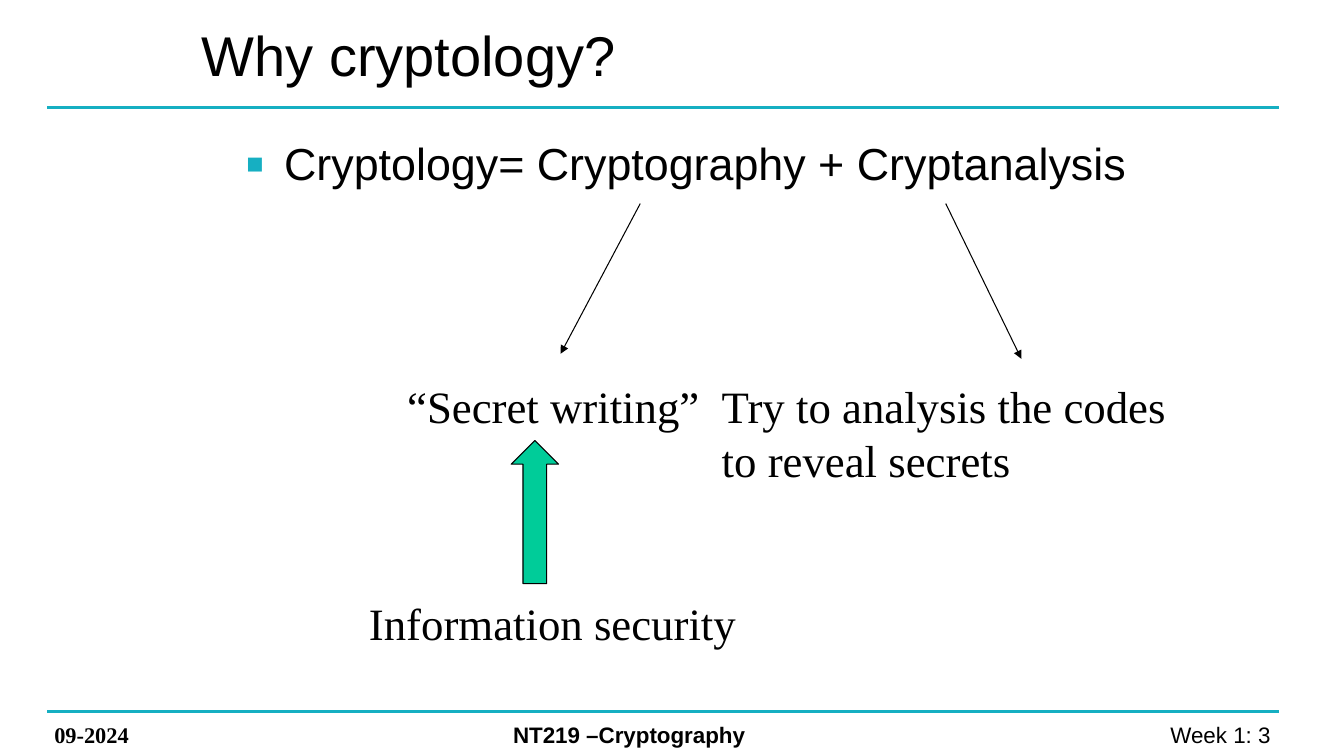
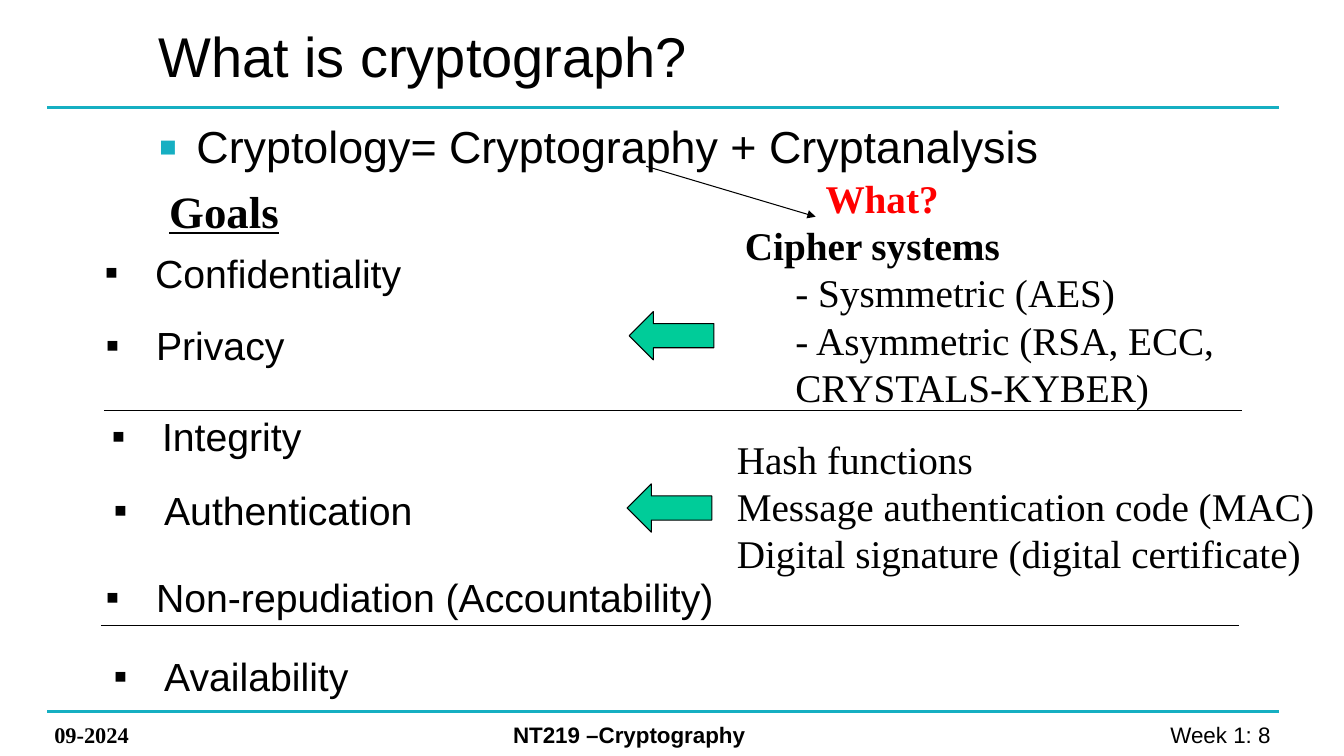
from typing import NamedTuple, Optional

from lxml import etree
from pptx import Presentation
from pptx import util as u
from pptx.dml import color
from pptx.enum import shapes, text
from pptx.oxml import ns

SANS, SERIF = "Arial", "Times New Roman"
BLACK, TEAL, GREEN, RED = "000000", "16AFC2", "00CC99", "FF0000"
TITLE_ONLY = 5
RULE_LEFT, RULE_RIGHT = 0.47, 12.69
RULE_TOPS = (1.07, 7.06)
EQUATION = "Cryptology= Cryptography + Cryptanalysis"


class Box(NamedTuple):
    left: float
    top: float
    width: float
    height: float


class Bullet(NamedTuple):
    indent: float
    percent: int = 100
    colour: str = BLACK


class Label(NamedTuple):
    text: str
    box: Box


class Line(NamedTuple):
    start: tuple[float, float]
    end: tuple[float, float]


EQUATION_BULLET = Bullet(0.38, 125, TEAL)
GOAL_BULLET = Bullet(0.5)

MEANINGS = (
    Label("“Secret writing”", Box(3.94, 3.71, 3.12, 1.18)),
    Label("Try to analysis the codes\nto reveal secrets", Box(7.06, 3.71, 4.65, 1.18)),
    Label("Information security", Box(3.56, 5.86, 3.88, 1.18)),
)
MEANING_ARROWS = (
    Line((6.35, 2.02), (5.56, 3.51)),
    Line((9.38, 2.02), (10.13, 3.56)),
)
GOALS = (
    Label("Confidentiality", Box(0.94, 2.42, 3.18, 0.57)),
    Label("Privacy", Box(0.95, 3.14, 2.1, 0.57)),
    Label("Integrity", Box(1.01, 4.04, 2.2, 0.57)),
    Label("Authentication", Box(1.03, 4.78, 3.3, 0.57)),
    Label("Non-repudiation (Accountability)", Box(0.95, 5.64, 6.33, 0.57)),
    Label("Availability", Box(1.03, 6.42, 2.66, 0.57)),
)
GOAL_DIVIDERS = (
    Line((1.03, 4.07), (12.32, 4.07)),
    Line((1, 6.21), (12.29, 6.21)),
)
GOAL_ARROWS = (Box(6.24, 3.09, 0.84, 0.48), Box(6.22, 4.8, 0.84, 0.48))


def rgb(value: str) -> color.RGBColor:
    return color.RGBColor.from_string(value)


def inches(values) -> list[u.Length]:
    return [u.Inches(value) for value in values]


def add_bullet(paragraph, bullet: Bullet) -> None:
    """Give the paragraph a square bullet with a hanging indent."""
    properties = paragraph._p.get_or_add_pPr()
    properties.set("marL", str(u.Inches(bullet.indent)))
    properties.set("indent", str(-u.Inches(bullet.indent)))
    colour = etree.SubElement(properties, ns.qn("a:buClr"))
    etree.SubElement(colour, ns.qn("a:srgbClr"), val=bullet.colour)
    etree.SubElement(properties, ns.qn("a:buSzPct"), val=str(bullet.percent * 1000))
    etree.SubElement(properties, ns.qn("a:buFont"), typeface=SANS)
    etree.SubElement(properties, ns.qn("a:buChar"), char="▪")


def write(
    frame,
    content: str,
    *,
    size: float,
    font: str = SERIF,
    colour: str = BLACK,
    bold: bool = False,
    underline: bool = False,
    align: text.PP_ALIGN = text.PP_ALIGN.LEFT,
    indent: float = 0,
    before: float = 0,
    bullet: Optional[Bullet] = None,
) -> None:
    """Append one paragraph for each line of the content."""
    for line in content.split("\n"):
        paragraph = frame.paragraphs[-1]
        if paragraph.runs:
            paragraph = frame.add_paragraph()
        paragraph.alignment = align
        paragraph.space_before = u.Pt(before)
        if indent:
            paragraph._p.get_or_add_pPr().set("marL", str(u.Inches(indent)))
        if bullet:
            add_bullet(paragraph, bullet)
        run = paragraph.add_run()
        run.text = line
        run.font.name = font
        run.font.size = u.Pt(size)
        run.font.bold = bold
        run.font.underline = underline
        run.font.color.rgb = rgb(colour)


def add_text(slide, box: Box, content: str, **text_format):
    frame = slide.shapes.add_textbox(*inches(box)).text_frame
    frame.word_wrap = True
    write(frame, content, **text_format)
    return frame


def add_line(
    slide, line: Line, colour: str = BLACK, width: float = 0.75, arrow: bool = False
) -> None:
    connector = slide.shapes.add_connector(
        shapes.MSO_CONNECTOR.STRAIGHT, *inches(line.start + line.end)
    )
    connector.line.color.rgb = rgb(colour)
    connector.line.width = u.Pt(width)
    if arrow:
        outline = connector.line._get_or_add_ln()
        etree.SubElement(outline, ns.qn("a:tailEnd"), type="triangle")
    etree.SubElement(connector._element.spPr, ns.qn("a:effectLst"))


def add_block_arrow(slide, kind: shapes.MSO_SHAPE, box: Box) -> None:
    shape = slide.shapes.add_shape(kind, *inches(box))
    shape.shadow.inherit = False
    shape.fill.solid()
    shape.fill.fore_color.rgb = rgb(GREEN)
    shape.line.color.rgb = rgb(BLACK)
    shape.line.width = u.Pt(0.75)


def add_slide(presentation, title: str, left: float, top: float, number: int):
    """Add a slide with the shared title style, rules and footer."""
    slide = presentation.slides.add_slide(presentation.slide_layouts[TITLE_ONLY])
    for rule_top in RULE_TOPS:
        rule = Line((RULE_LEFT, rule_top), (RULE_RIGHT, rule_top))
        add_line(slide, rule, TEAL, 2.25)
    add_text(slide, Box(0.44, 7.11, 1.78, 0.37), "09-2024", size=16, bold=True)
    add_text(slide, Box(4.99, 7.11, 4.83, 0.37), "NT219 –Cryptography",
             size=16, font=SANS, bold=True)
    add_text(slide, Box(9.82, 7.11, 2.88, 0.37), f"Week 1: {number}",
             size=16, font=SANS, align=text.PP_ALIGN.RIGHT)

    shape = slide.shapes.title
    shape.left, shape.top, shape.width, shape.height = inches((left, top, 7.28, 0.87))
    frame = shape.text_frame
    frame.auto_size = text.MSO_AUTO_SIZE.NONE
    frame.vertical_anchor = text.MSO_ANCHOR.MIDDLE
    write(frame, title, size=40, font=SANS)
    return slide


def add_equation(slide, left: float, top: float) -> None:
    add_text(slide, Box(left, top, 8.97, 0.7), EQUATION,
             size=32, font=SANS, before=3, bullet=EQUATION_BULLET)


def build_why_slide(presentation) -> None:
    slide = add_slide(presentation, "Why cryptology?", 1.9, 0.1, 3)
    add_equation(slide, 2.34, 1.3)
    for line in MEANING_ARROWS:
        add_line(slide, line, arrow=True)
    for label in MEANINGS:
        add_text(slide, label.box, label.text, size=32)
    add_block_arrow(slide, shapes.MSO_SHAPE.UP_ARROW, Box(5.07, 4.37, 0.47, 1.42))


def build_what_slide(presentation) -> None:
    slide = add_slide(presentation, "What is cryptograph?", 1.47, 0.11, 8)
    add_equation(slide, 1.47, 1.13)
    add_line(slide, Line((6.41, 1.65), (8.09, 2.15)), arrow=True)
    add_text(slide, Box(8.09, 1.68, 1.4, 0.57), "What?", size=28, colour=RED, bold=True)

    add_text(slide, Box(1.58, 1.77, 1.4, 0.64), "Goals",
             size=32, bold=True, underline=True)
    for goal in GOALS:
        add_text(slide, goal.box, goal.text, size=28, font=SANS, bullet=GOAL_BULLET)
    for divider in GOAL_DIVIDERS:
        add_line(slide, divider)
    for box in GOAL_ARROWS:
        add_block_arrow(slide, shapes.MSO_SHAPE.LEFT_ARROW, box)

    ciphers = add_text(slide, Box(7.29, 2.15, 5.95, 1.99), "Cipher systems",
                       size=28, bold=True)
    write(ciphers, "- Sysmmetric (AES)\n- Asymmetric (RSA, ECC, CRYSTALS-KYBER)",
          size=28, indent=0.5)
    add_text(
        slide,
        Box(7.21, 4.27, 6.1, 1.51),
        "Hash functions\nMessage authentication code (MAC)\n"
        "Digital signature (digital certificate)",
        size=28,
    )


def main() -> None:
    presentation = Presentation()
    presentation.slide_width = u.Inches(13.33)
    presentation.slide_height = u.Inches(7.5)
    build_why_slide(presentation)
    build_what_slide(presentation)
    presentation.save("out.pptx")


if __name__ == "__main__":
    main()
